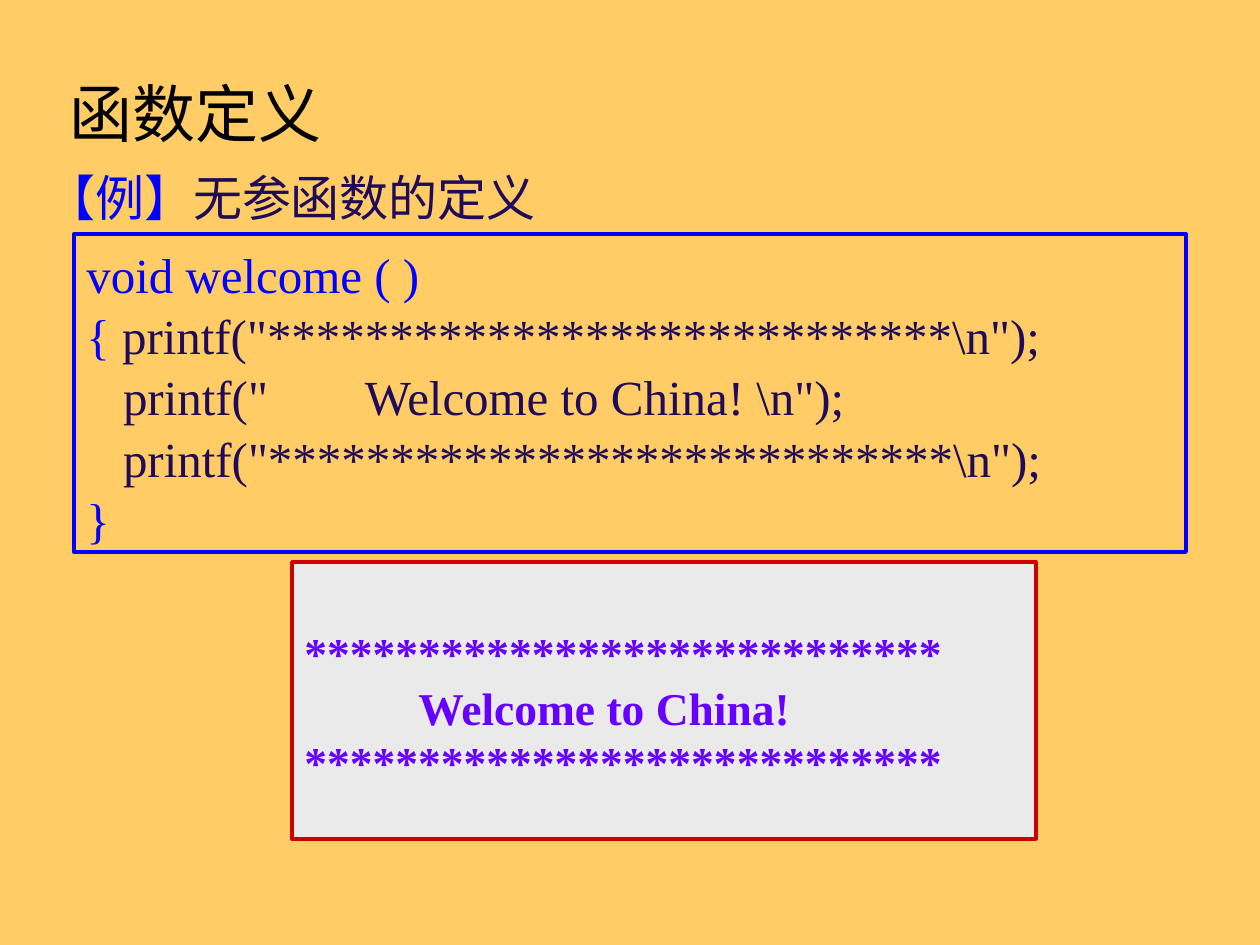
from lxml.etree import SubElement
from pptx import Presentation
from pptx.dml.color import RGBColor
from pptx.enum.shapes import MSO_SHAPE
from pptx.enum.text import MSO_ANCHOR, PP_ALIGN
from pptx.oxml.ns import qn
from pptx.util import Emu, Pt

PX = 914400 // 126
COLORS = {
    "background": "FFCC66", "title": "000000", "keyword": "0000FF", "body": "200B5B",
    "screen": "EAEAEA", "screen_edge": "CC0000", "output": "6600FF",
}
CJK, SERIF = "Noto Sans CJK SC", "Times New Roman"
STARS = "*" * 28
PRINT_STARS = f'printf("{STARS}\\n");'


def px(length):
    """Convert whole pixels to EMU."""
    return Emu(length * PX)


def rgb(name):
    """Look up a named colour."""
    return RGBColor.from_string(COLORS[name])


def write(paragraph, pieces, size, face, bold=False):
    """Fill a paragraph with (text, colour name) runs."""
    paragraph.alignment = PP_ALIGN.LEFT
    for text, color in pieces:
        run = paragraph.add_run()
        run.text = text
        run.font.size = Pt(size)
        run.font.name = face
        run.font.bold = bold
        run.font.color.rgb = rgb(color)
        SubElement(run.font._element, qn("a:ea"), typeface=face)


def add_title(slide, text):
    """Place and format the slide title."""
    title = slide.shapes.title
    title.left, title.top, title.width, title.height = map(px, (57, 67, 1134, 91))
    title.text_frame.vertical_anchor = MSO_ANCHOR.MIDDLE
    write(title.text_frame.paragraphs[0], [(text, "title")], 36, CJK)


def add_example_heading(slide, pieces):
    """Add the line that introduces the example."""
    heading = slide.shapes.add_textbox(*map(px, (34, 155, 1160, 79)))
    heading.text_frame.word_wrap = True
    paragraph = heading.text_frame.paragraphs[0]
    paragraph.line_spacing = 1.1
    write(paragraph, pieces, 28, CJK)


def add_panel(slide, bounds, edge, edge_width, top_inset, fill=None):
    """Add an outlined rectangle and return its text frame."""
    panel = slide.shapes.add_shape(MSO_SHAPE.RECTANGLE, *map(px, bounds))
    panel.shadow.inherit = False
    panel.line.color.rgb = rgb(edge)
    panel.line.width = Pt(edge_width)
    if fill:
        panel.fill.solid()
        panel.fill.fore_color.rgb = rgb(fill)
    else:
        panel.fill.background()
    frame = panel.text_frame
    frame.word_wrap = True
    frame.vertical_anchor = MSO_ANCHOR.TOP
    frame.margin_top = px(top_inset)
    return frame


def add_lines(frame, lines, size, spacing, gap=0, bold=False):
    """Write one paragraph per line, with a gap between lines."""
    for index, pieces in enumerate(lines):
        paragraph = frame.add_paragraph() if index else frame.paragraphs[0]
        paragraph.line_spacing = spacing
        paragraph.space_before = Pt(gap if index else 0)
        write(paragraph, pieces, size, SERIF, bold)


def main():
    """Build the slide about defining a function."""
    deck = Presentation()
    deck.slide_width, deck.slide_height = px(1260), px(945)
    slide = deck.slides.add_slide(deck.slide_layouts[5])
    slide.background.fill.solid()
    slide.background.fill.fore_color.rgb = rgb("background")

    add_title(slide, "函数定义")
    add_example_heading(slide, [("【例】", "keyword"), ("无参函数的定义", "body")])

    code = add_panel(slide, (74, 234, 1112, 318), "keyword", 2.25, 8)
    add_lines(code, [
        [("void welcome ( )", "keyword")],
        [("{ ", "keyword"), (PRINT_STARS, "body")],
        [('   printf("        Welcome to China! \\n");', "body")],
        [("   " + PRINT_STARS, "body")],
        [("}", "keyword")],
    ], 28, Pt(35))

    screen = add_panel(slide, (292, 562, 744, 277), "screen_edge", 2, 74, "screen")
    output = [STARS, "Welcome to China!", STARS]
    add_lines(screen, [[(line, "output")] for line in output], 26, 0.8, 6, True)
    screen.paragraphs[1]._p.get_or_add_pPr().set("marL", str(px(114)))

    deck.save("out.pptx")


if __name__ == "__main__":
    main()
